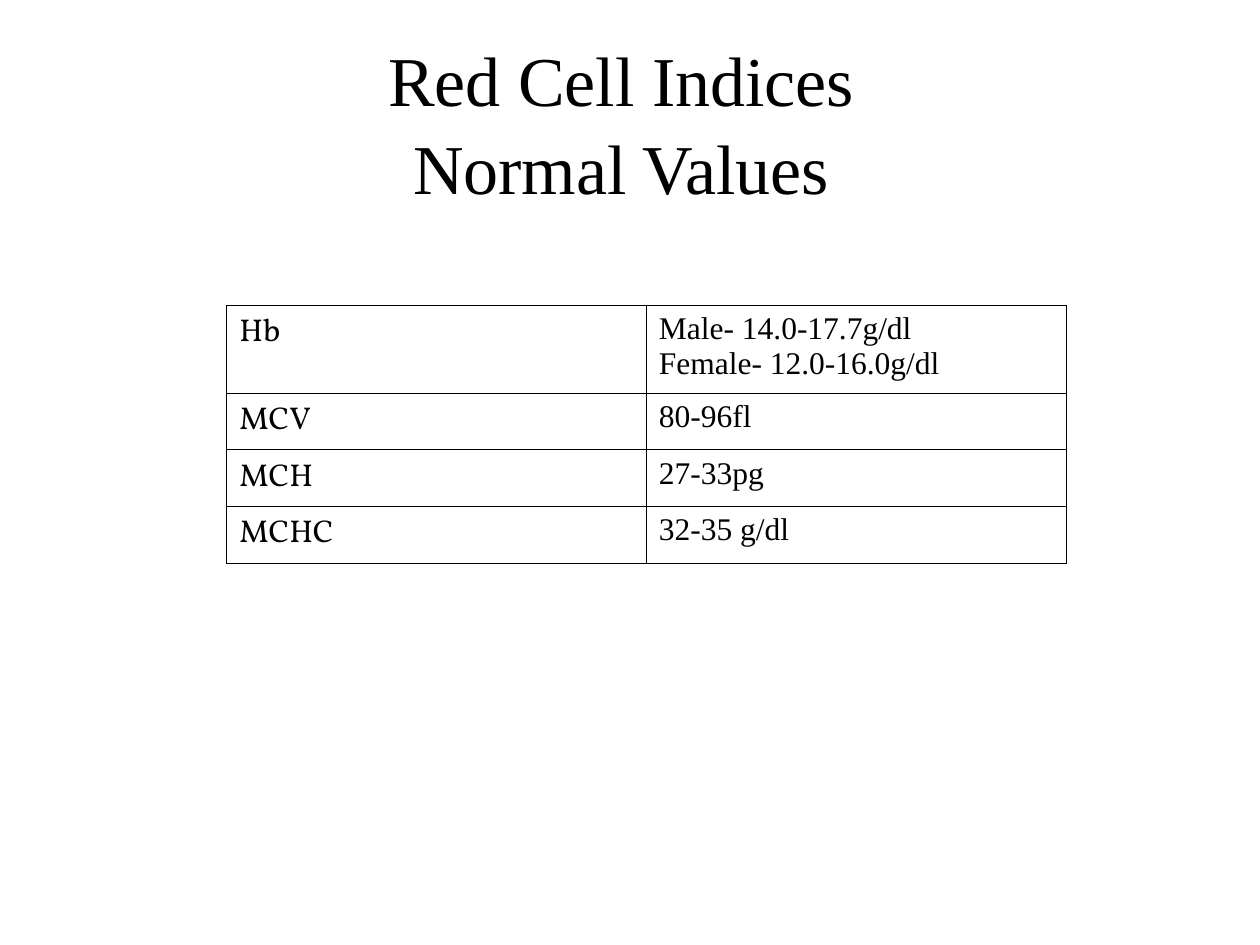
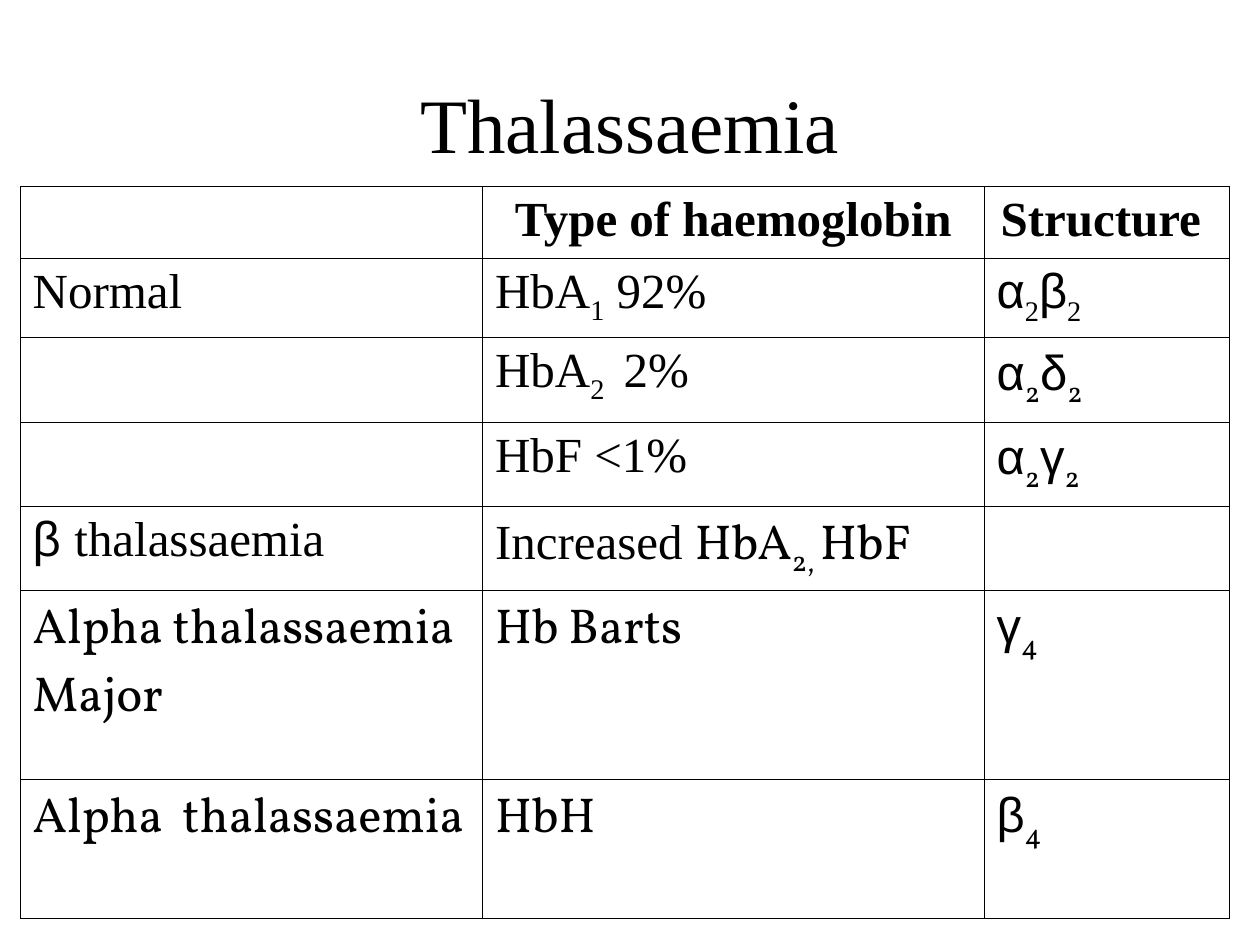
import pptx
import pptx.util
import pptx.dml.color
import pptx.enum.text
from lxml import etree
from pptx.oxml.ns import qn

Inches, Pt = pptx.util.Inches, pptx.util.Pt
ALIGN = pptx.enum.text.PP_ALIGN
SERIF, BOOK, SANS = "Times New Roman", "Vollkorn", "Arial"
BLACK, WHITE = "000000", "FFFFFF"
BORDER_WIDTH = Pt(0.45)


def color(hex_value):
    return pptx.dml.color.RGBColor.from_string(hex_value)


def add_run(paragraph, text, font, size, bold=False, subscript=False):
    run = paragraph.add_run()
    run.text = text
    run.font.name = font
    run.font.size = Pt(size)
    run.font.bold = bold
    run.font.color.rgb = color(BLACK)
    if subscript:
        run.font._element.set("baseline", "-25000")


# Each cell is a list of paragraphs, each paragraph a list of
# (text, font) runs; a third value marks a subscript.
index_rows = [
    [[[("Hb", BOOK)]],
     [[("Male- 14.0-17.7g/dl", SERIF)], [("Female- 12.0-16.0g/dl", SERIF)]]],
]
for index_name, normal_range in [("MCV", "80-96fl"), ("MCH", "27-33pg"),
                                 ("MCHC", "32-35 g/dl")]:
    index_rows.append([[[(index_name, BOOK)]], [[(normal_range, SERIF)]]])

haemoglobin_rows = [
    [[], [[("Type of haemoglobin", SERIF)]], [[("Structure ", SERIF)]]],
    [[[("Normal", SERIF)]],
     [[("HbA", SERIF), ("1", SERIF, True), (" 92%", SERIF)]],
     [[("α", SANS), ("2", SERIF, True), ("β", SANS), ("2", SERIF, True)]]],
    [[],
     [[("HbA", SERIF), ("2 ", SERIF, True), (" 2%", SERIF)]],
     [[("α", SANS), ("2", BOOK, True), ("δ", SANS), ("2", BOOK, True)]]],
    [[],
     [[("HbF <1%", SERIF)]],
     [[("α", SANS), ("2", BOOK, True), ("γ", SANS), ("2", BOOK, True)]]],
    [[[("β ", SANS), ("thalassaemia", SERIF)]],
     [[("Increased ", SERIF), ("HbA", BOOK), ("2, ", BOOK, True), ("HbF", BOOK)]],
     []],
    [[[("Alpha thalassaemia", BOOK)], [("Major", BOOK)]],
     [[("Hb Barts", BOOK)]],
     [[("γ", SANS), ("4", BOOK, True)]]],
    [[[("Alpha  thalassaemia", BOOK)]],
     [[("HbH", BOOK)]],
     [[("β", SANS), ("4", BOOK, True)]]],
]

pages = [
    dict(title=["Red Cell Indices ", "Normal Values "], title_size=40,
         left=1.8, top=2.42, widths=[3.33, 3.33], heights=[0.7, 0.45, 0.45, 0.45],
         rows=index_rows, size=18, has_header=False),
    dict(title=["Thalassaemia"], title_size=44,
         left=0.16, top=1.48, widths=[3.67, 3.98, 1.95],
         heights=[0.57, 0.63, 0.67, 0.67, 0.67, 1.5, 1.1],
         rows=haemoglobin_rows, size=28, has_header=True),
]

deck = pptx.Presentation()
deck.slide_width, deck.slide_height = Inches(10), Inches(7.5)

for page in pages:
    slide = deck.slides.add_slide(deck.slide_layouts[5])
    slide.background.fill.solid()
    slide.background.fill.fore_color.rgb = color(WHITE)

    # Title
    title = slide.shapes.title
    title.left, title.top = Inches(0.5), Inches(0.3)
    title.width, title.height = Inches(9), Inches(1.25)
    heading = title.text_frame
    heading.auto_size = pptx.enum.text.MSO_AUTO_SIZE.NONE
    heading.vertical_anchor = pptx.enum.text.MSO_ANCHOR.MIDDLE
    heading.margin_top = Inches(0.12)
    heading_line = heading.paragraphs[0]
    heading_line.alignment = ALIGN.CENTER
    heading_line.line_spacing = 1.04
    for number, text in enumerate(page["title"]):
        if number:
            heading_line.add_line_break()
        add_run(heading_line, text, SERIF, page["title_size"])

    # Table grid
    widths, heights = page["widths"], page["heights"]
    values = slide.shapes.add_table(
        len(heights), len(widths), Inches(page["left"]), Inches(page["top"]),
        Inches(sum(widths)), Inches(sum(heights))).table
    values.first_row = values.horz_banding = False
    for column, width in zip(values.columns, widths):
        column.width = Inches(width)
    for row, height in zip(values.rows, heights):
        row.height = Inches(height)

    # Cells
    for row_number, row_content in enumerate(page["rows"]):
        is_header = page["has_header"] and row_number == 0
        for column_number, paragraphs in enumerate(row_content):
            cell = values.cell(row_number, column_number)
            properties = cell._tc.get_or_add_tcPr()
            for side in ("lnL", "lnR", "lnT", "lnB"):
                border = etree.SubElement(properties, qn("a:" + side),
                                          w=str(int(BORDER_WIDTH)))
                border_fill = etree.SubElement(border, qn("a:solidFill"))
                etree.SubElement(border_fill, qn("a:srgbClr"), val=BLACK)
            cell.fill.solid()
            cell.fill.fore_color.rgb = color(WHITE)
            for number, runs in enumerate(paragraphs):
                frame = cell.text_frame
                paragraph = frame.add_paragraph() if number else frame.paragraphs[0]
                paragraph.alignment = ALIGN.CENTER if is_header else ALIGN.LEFT
                for text, font, *subscript in runs:
                    add_run(paragraph, text, font, page["size"], is_header,
                            bool(subscript))

deck.save("out.pptx")
